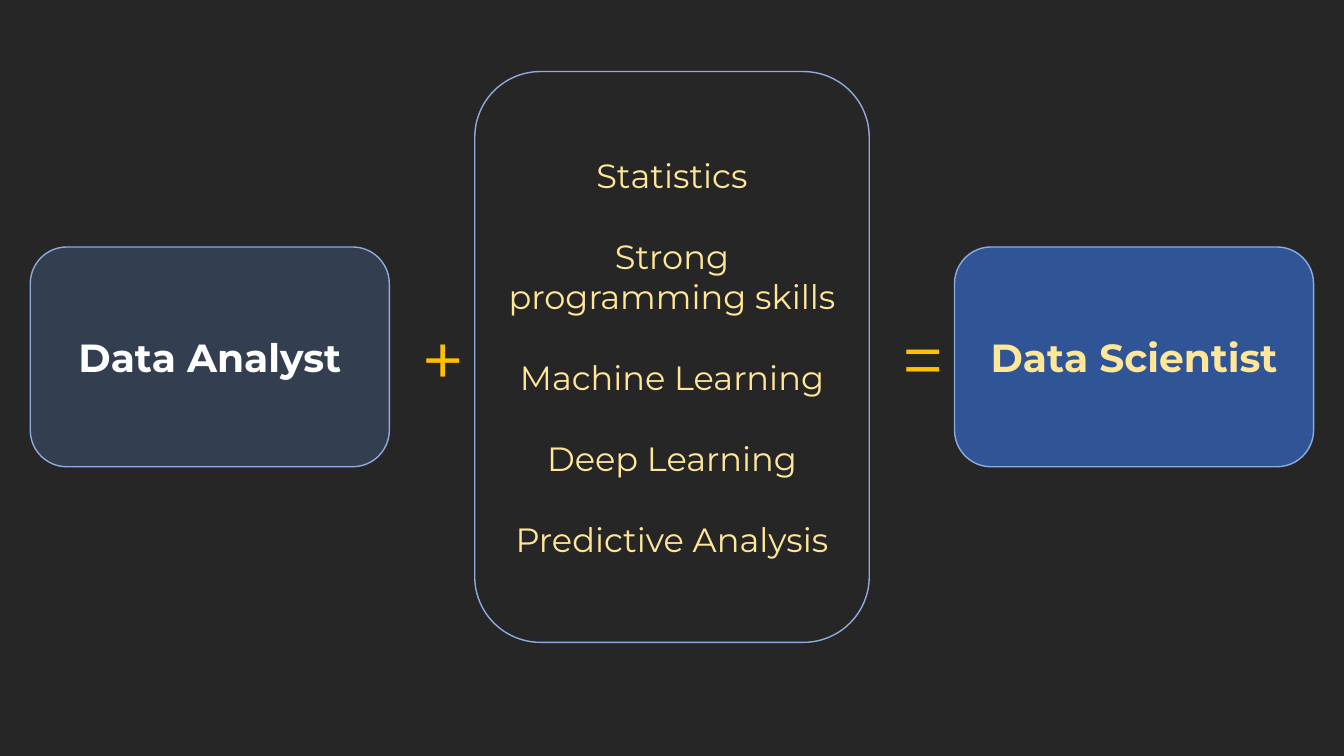
import pptx
import pptx.util
import pptx.dml.color
import pptx.enum.shapes
import pptx.enum.text

Pt = pptx.util.Pt
RGB = pptx.dml.color.RGBColor
BACKGROUND = RGB(0x26, 0x26, 0x26)
SLATE = RGB(0x33, 0x3F, 0x50)
BLUE = RGB(0x2F, 0x55, 0x97)
OUTLINE = RGB(0x8F, 0xAA, 0xDC)
WHITE = RGB(0xFF, 0xFF, 0xFF)
CREAM = RGB(0xFF, 0xE6, 0x99)
GOLD = RGB(0xFF, 0xC0, 0x00)


def write(tf, lines, size, color, bold=False, gap=0):
    """Fill a text frame with centred paragraphs, gap points apart."""
    tf.word_wrap = True
    for i, line in enumerate(lines):
        p = tf.paragraphs[0] if i == 0 else tf.add_paragraph()
        p.alignment = pptx.enum.text.PP_ALIGN.CENTER
        if i and gap:
            p.space_before = Pt(gap)
        r = p.add_run()
        r.text = line
        r.font.name = "Montserrat"
        r.font.size = Pt(size)
        r.font.bold = bold
        r.font.color.rgb = color


class Deck:
    def __init__(self, width, height):
        self.prs = pptx.Presentation()
        self.prs.slide_width, self.prs.slide_height = Pt(width), Pt(height)

    def slide(self):
        self.s = self.prs.slides.add_slide(self.prs.slide_layouts[6])
        self.s.background.fill.solid()
        self.s.background.fill.fore_color.rgb = BACKGROUND

    def card(self, x, y, w, h, lines, fill=None, **style):
        sp = self.s.shapes.add_shape(
            pptx.enum.shapes.MSO_SHAPE.ROUNDED_RECTANGLE, Pt(x), Pt(y), Pt(w), Pt(h))
        sp.shadow.inherit = False
        if fill is None:
            sp.fill.background()
        else:
            sp.fill.solid()
            sp.fill.fore_color.rgb = fill
        sp.line.color.rgb = OUTLINE
        sp.line.width = Pt(1)
        sp.text_frame.vertical_anchor = pptx.enum.text.MSO_ANCHOR.MIDDLE
        write(sp.text_frame, lines, **style)

    def operator(self, x, y, w, h, symbol):
        tf = self.s.shapes.add_textbox(Pt(x), Pt(y), Pt(w), Pt(h)).text_frame
        write(tf, [symbol], size=54, color=GOLD)
        tf.auto_size = pptx.enum.text.MSO_AUTO_SIZE.SHAPE_TO_FIT_TEXT


def main():
    deck = Deck(960, 540)
    deck.slide()

    # Roles on either side
    for x, role, fill, color in ((21.6, "Data Analyst", SLATE, WHITE),
                                 (681.8, "Data Scientist", BLUE, CREAM)):
        deck.card(x, 176.4, 256.5, 157, [role], fill, size=28, color=color, bold=True)

    # Skills in the middle
    skills = ["Statistics", "Strong programming skills", "Machine Learning",
              "Deep Learning", "Predictive Analysis"]
    deck.card(339.1, 51.1, 281.8, 407.7, skills, size=24, color=CREAM, gap=29)

    # Operators between the cards
    for x, symbol in ((293.8, "+"), (636.5, "=")):
        deck.operator(x, 218.9, 30.2, 72.7, symbol)

    deck.prs.save("out.pptx")


if __name__ == "__main__":
    main()
